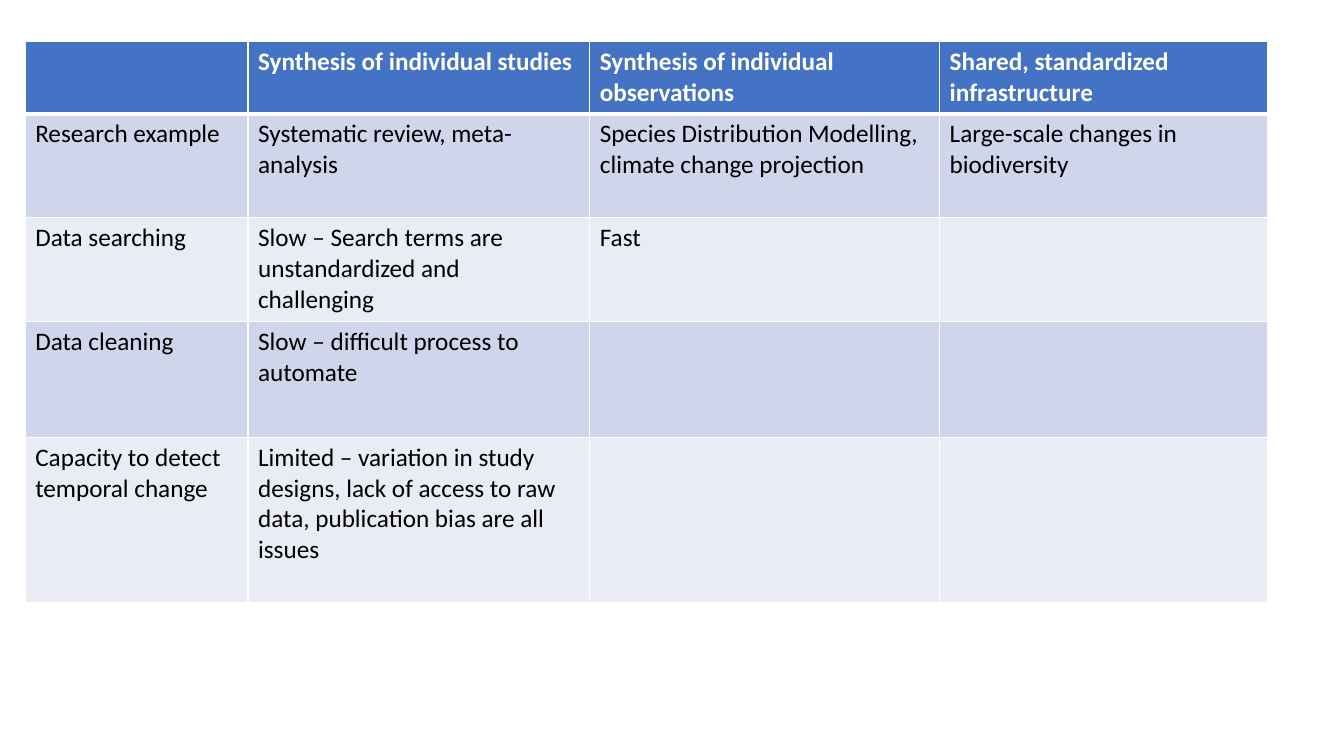
from dataclasses import dataclass

from lxml.etree import SubElement
from pptx import Presentation
from pptx.dml.color import RGBColor
from pptx.oxml.ns import qn
from pptx.table import _Cell as Cell
from pptx.util import Inches, Pt

COLORS = {
    "header": "4472C4",
    "band_dark": "CFD5EA",
    "band_light": "E9EBF5",
    "border": "FFFFFF",
    "header_text": "FFFFFF",
    "body_text": "000000",
}
FONT = "Calibri"
COLUMN_WIDTHS = (2.21, 3.39, 3.47, 3.25)
THIN, THICK = 1, 3


@dataclass(frozen=True)
class TableRow:
    height: float
    texts: tuple[str, str, str, str]


ROWS = (
    TableRow(0.72, ("", "Synthesis of individual studies",
                    "Synthesis of individual observations",
                    "Shared, standardized infrastructure")),
    TableRow(1.03, ("Research example", "Systematic review, meta-analysis",
                    "Species Distribution Modelling, climate change projection",
                    "Large-scale changes in biodiversity")),
    TableRow(1.03, ("Data searching",
                    "Slow – Search terms are unstandardized and challenging",
                    "Fast", "")),
    TableRow(1.15, ("Data cleaning", "Slow – difficult process to automate", "", "")),
    TableRow(1.64, ("Capacity to detect temporal change",
                    "Limited – variation in study designs, lack of access to raw "
                    "data, publication bias are all issues", "", "")),
)


def set_borders(cell: Cell, top: float, bottom: float) -> None:
    properties = cell._tc.get_or_add_tcPr()
    widths = {"a:lnL": THIN, "a:lnR": THIN, "a:lnT": top, "a:lnB": bottom}
    for tag, width in widths.items():
        line = SubElement(properties, qn(tag), w=str(Pt(width)))
        fill = SubElement(line, qn("a:solidFill"))
        SubElement(fill, qn("a:srgbClr"), val=COLORS["border"])


def fill_cell(cell: Cell, text: str, row_index: int) -> None:
    is_header = row_index == 0
    # Borders come before the fill in the cell properties
    set_borders(cell, THICK if row_index == 1 else THIN, THICK if is_header else THIN)
    band = "header" if is_header else "band_dark" if row_index % 2 else "band_light"
    cell.fill.solid()
    cell.fill.fore_color.rgb = RGBColor.from_string(COLORS[band])
    if text:
        run = cell.text_frame.paragraphs[0].add_run()
        run.text = text
        run.font.name = FONT
        run.font.size = Pt(18)
        run.font.bold = is_header
        text_color = COLORS["header_text" if is_header else "body_text"]
        run.font.color.rgb = RGBColor.from_string(text_color)


def main() -> None:
    presentation = Presentation()
    presentation.slide_width = Inches(13.33)
    presentation.slide_height = Inches(7.5)
    slide = presentation.slides.add_slide(presentation.slide_layouts[6])

    # Comparison table
    table = slide.shapes.add_table(
        len(ROWS), len(COLUMN_WIDTHS), Inches(0.25), Inches(0.41),
        Inches(sum(COLUMN_WIDTHS)), Inches(sum(row.height for row in ROWS)),
    ).table
    for column, width in zip(table.columns, COLUMN_WIDTHS):
        column.width = Inches(width)

    # Header and banded rows
    for row_index, row in enumerate(ROWS):
        table.rows[row_index].height = Inches(row.height)
        for column_index, text in enumerate(row.texts):
            fill_cell(table.cell(row_index, column_index), text, row_index)

    presentation.save("out.pptx")


if __name__ == "__main__":
    main()
